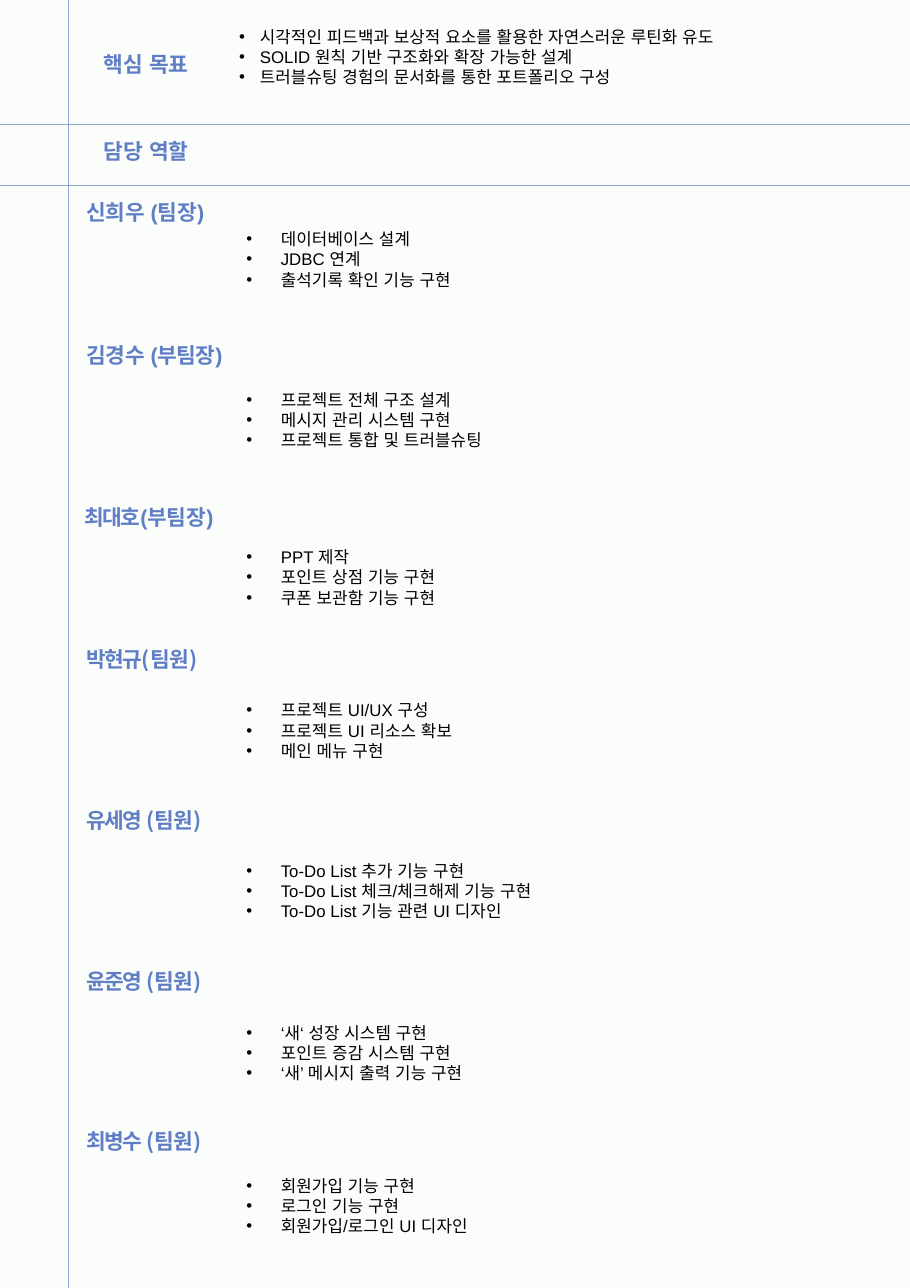
from lxml.etree import SubElement as Sub
from pptx import Presentation
from pptx.dml.color import RGBColor
from pptx.enum.shapes import MSO_CONNECTOR as Link, MSO_SHAPE as Form
from pptx.oxml.ns import qn
from pptx.util import Pt

PAPER = RGBColor(0xFB, 0xFD, 0xFB)
RULE = RGBColor(0x8F, 0xA5, 0xD6)
BLUE = RGBColor(0x60, 0x7E, 0xC6)
BLACK = RGBColor(0, 0, 0)
SANS = "Arial"
NOTO = "Noto Sans CJK KR"
WIDE, HIGH = 595, 842.4

GOALS = [
    "시각적인 피드백과 보상적 요소를 활용한 자연스러운 루틴화 유도",
    "SOLID 원칙 기반 구조화와 확장 가능한 설계",
    "트러블슈팅 경험의 문서화를 통한 포트폴리오 구성",
]
HEADS = [(32.4, "핵심 ", "목표"), (89.3, "담당 ", "역할")]
TEAM = [
    (55.4, 126.7, 91.4, SANS, [("신희우 ", -20), ("(팀장)", -20)], 146.2,
     ["데이터베이스 설계", "JDBC 연계", "출석기록 확인 기능 구현"]),
    (55.4, 220.3, 98.6, SANS, [("김경수 ", -20), ("(부팀장)", -60)], 251.3,
     ["프로젝트 전체 구조 설계", "메시지 관리 시스템 구현", "프로젝트 통합 및 트러블슈팅"]),
    (54.3, 326.2, 95.8, SANS, [("최대호", -120), ("(부팀장)", -20)], 354.2,
     ["PPT 제작", "포인트 상점 기능 구현", "쿠폰 보관함 기능 구현"]),
    (55.4, 419, 95.8, NOTO, [("박현규", -120), ("(팀원)", -20)], 454.3,
     ["프로젝트 UI/UX 구성", "프로젝트 UI 리소스 확보", "메인 메뉴 구현"]),
    (55.4, 524.2, 84.2, NOTO, [("유세영 ", -120), ("(팀원)", -20)], 559.4,
     ["To-Do List 추가 기능 구현", "To-Do List 체크/체크해제 기능 구현",
      "To-Do List 기능 관련 UI 디자인"]),
    (55.4, 629.3, 84.2, NOTO, [("윤준영 ", -120), ("(팀원)", -20)], 665.3,
     ["‘새‘ 성장 시스템 구현", "포인트 증감 시스템 구현", "‘새’ 메시지 출력 기능 구현"]),
    (55.4, 734.4, 84.2, NOTO, [("최병수 ", -120), ("(팀원)", -20)], 765.4,
     ["회원가입 기능 구현", "로그인 기능 구현", "회원가입/로그인 UI 디자인"]),
]


class Page:
    """Draws panels, rules, labels and bullet lists on one slide."""

    def __init__(self, slide):
        self.slide = slide

    def panel(self, x, y, w, h):
        box = self.slide.shapes.add_shape(
            Form.RECTANGLE, Pt(x), Pt(y), Pt(w), Pt(h))
        box.shadow.inherit = False
        box.fill.solid()
        box.fill.fore_color.rgb = PAPER
        box.line.fill.background()

    def rule(self, x1, y1, x2, y2):
        line = self.slide.shapes.add_connector(
            Link.STRAIGHT, Pt(x1), Pt(y1), Pt(x2), Pt(y2))
        line.line.color.rgb = RULE
        line.line.width = Pt(0.75)
        Sub(line._element.spPr, qn("a:effectLst"))

    def frame(self, x, y, w, h):
        box = self.slide.shapes.add_textbox(Pt(x), Pt(y), Pt(w), Pt(h))
        box.text_frame.word_wrap = True
        return box.text_frame

    def style(self, run, face, size, color, bold=False):
        font = run.font
        font.name, font.size, font.bold = face, Pt(size), bold
        font.color.rgb = color
        props = run._r.get_or_add_rPr()
        props.set("lang", "ko-KR")
        Sub(props, qn("a:ea"), typeface=SANS)

    def label(self, x, y, w, parts, face=SANS, gap=1.0):
        frame = self.frame(x, y, w, 19)
        frame.margin_left = frame.margin_right = frame.margin_bottom = 0
        frame.margin_top = Pt(1)
        para = frame.paragraphs[0]
        para.line_spacing = gap
        para._p.get_or_add_pPr().set("marL", str(Pt(0.9)))
        for text, track in parts:
            run = para.add_run()
            run.text = text
            self.style(run, face, 14, BLUE, True)
            run._r.get_or_add_rPr().set("spc", str(track))

    def bullets(self, x, y, w, h, items, dent):
        frame = self.frame(x, y, w, h)
        frame.text = "\n".join(items)
        for para in frame.paragraphs:
            props = para._p.get_or_add_pPr()
            props.set("marL", str(Pt(dent)))
            props.set("indent", str(Pt(-dent)))
            Sub(props, qn("a:buFont"), typeface=SANS)
            Sub(props, qn("a:buChar"), char="•")
            for run in para.runs:
                self.style(run, SANS, 11, BLACK)


def main():
    deck = Presentation()
    deck.slide_width, deck.slide_height = Pt(WIDE), Pt(HIGH)
    page = Page(deck.slides.add_slide(deck.slide_layouts[6]))
    page.panel(0, 0, WIDE, HIGH)
    page.rule(44.8, 0, 44.8, HIGH)
    for y in (81.4, 121.3):
        page.rule(0, y, WIDE, y)
    page.panel(149, 13, 414, 60.5)
    page.panel(146.9, 126.7, 432.7, 710.6)
    for y, first, last in HEADS:
        page.label(67, y, 74.9, [(first, 0), (last, -20)])
    page.bullets(149.3, 13.7, 414, 60.5, GOALS, 13.5)
    for x, y, w, face, parts, top, tasks in TEAM:
        page.label(x, y, w, parts, face, 1.16)
        page.bullets(154, top, 409, 47.5, tasks, 22.5)
    deck.save("out.pptx")


if __name__ == "__main__":
    main()
